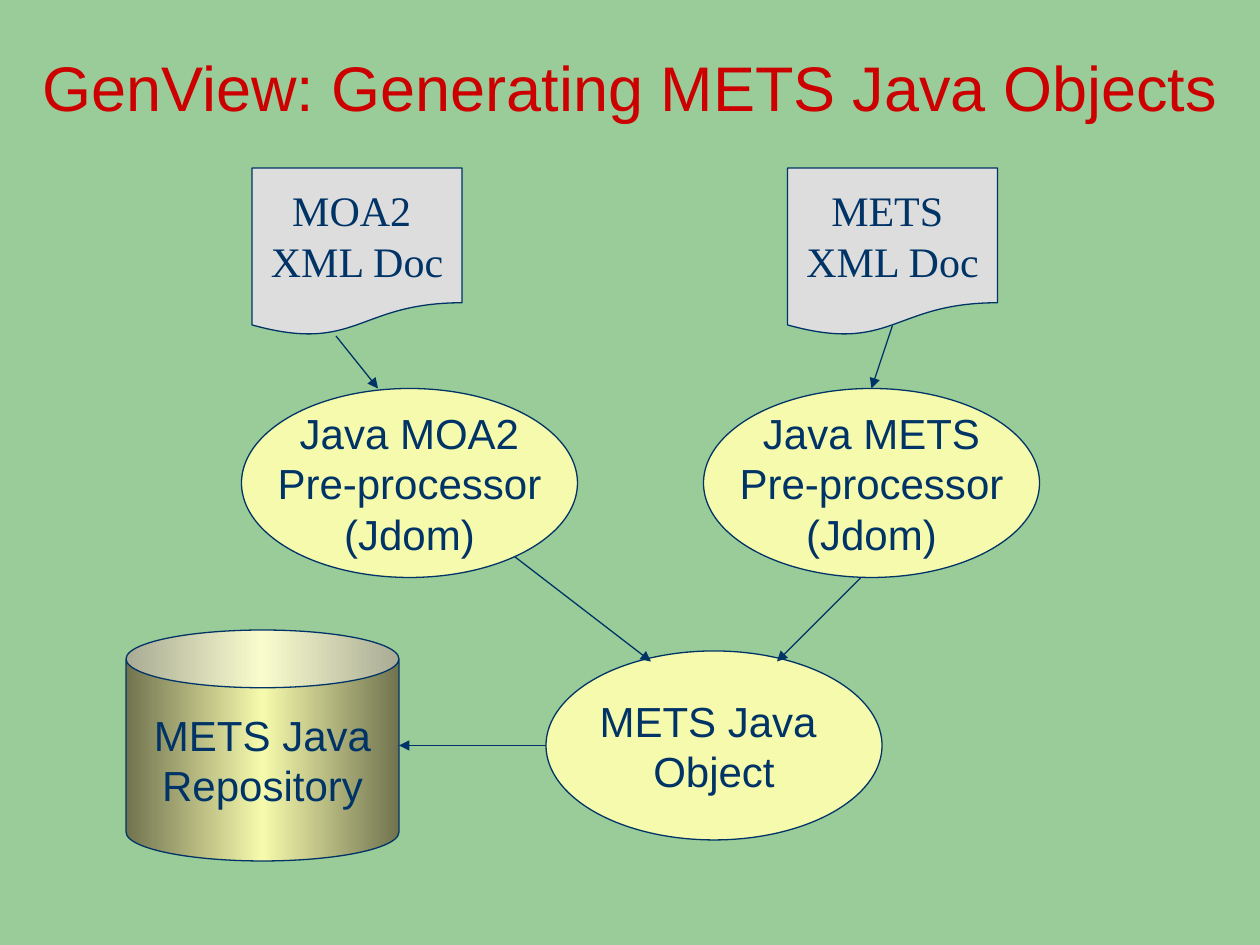
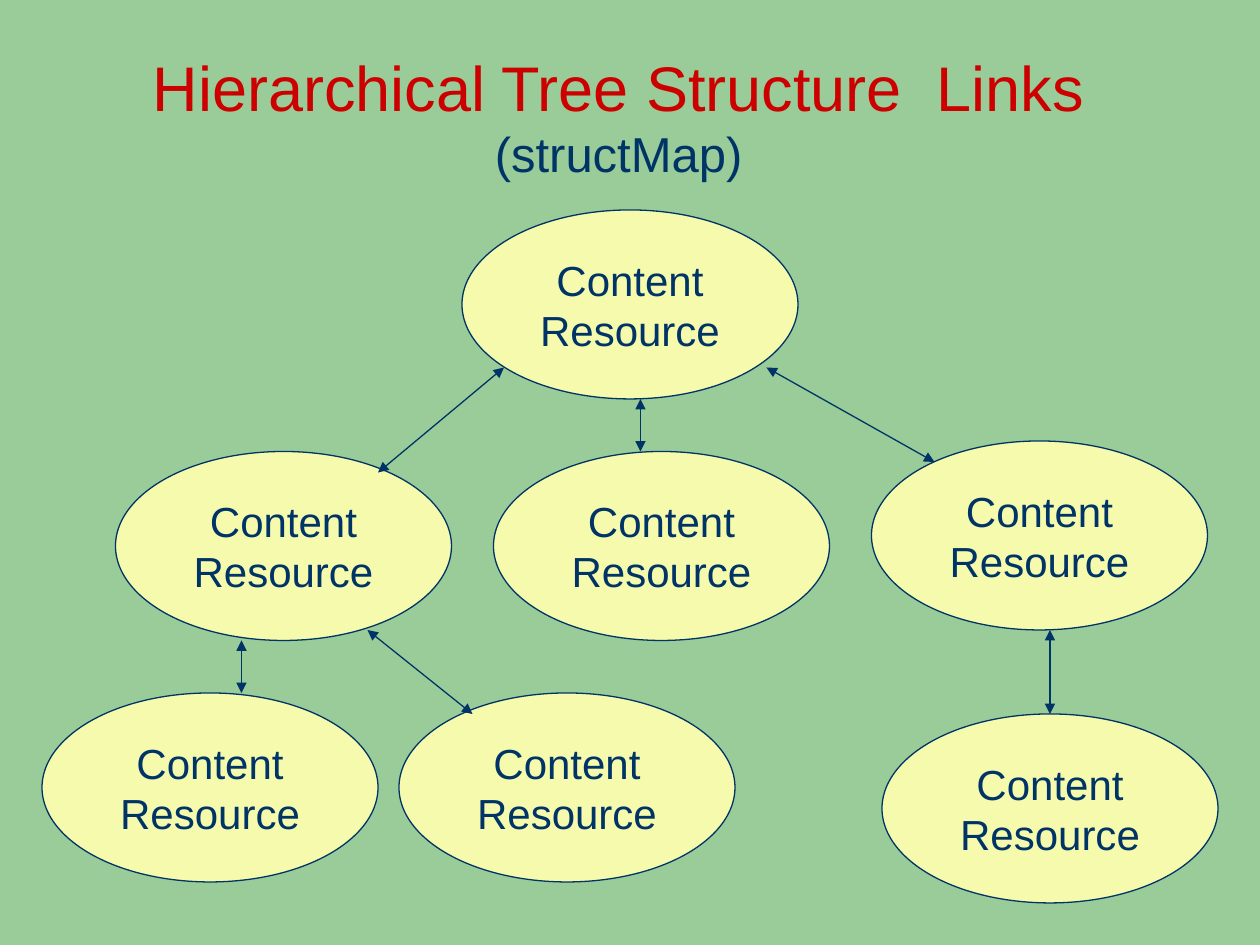
from lxml.etree import SubElement
from pptx import Presentation
from pptx.dml.color import RGBColor
from pptx.enum.shapes import MSO_CONNECTOR, MSO_SHAPE
from pptx.enum.text import MSO_ANCHOR, MSO_AUTO_SIZE, PP_ALIGN
from pptx.oxml.ns import qn
from pptx.util import Pt

GREEN = RGBColor(0x99, 0xCC, 0x99)
RED = RGBColor(0xCC, 0x00, 0x00)
NAVY = RGBColor(0x00, 0x33, 0x66)
YELLOW = RGBColor(0xF6, 0xFA, 0xAC)
OLIVE = RGBColor(0x71, 0x73, 0x4F)
GREY = RGBColor(0xDD, 0xDD, 0xDD)

TITLE_TOP = 24
ELLIPSE_SIZE = (192, 108)
DOCUMENT_SIZE = (120, 96)
REPOSITORY_SIZE = (156, 132)


def format_paragraph(paragraph, size, color, font_name="Arial"):
    paragraph.alignment = PP_ALIGN.CENTER
    for run in paragraph.runs:
        run.font.name = font_name
        run.font.size = Pt(size)
        run.font.color.rgb = color


def add_titled_slide(presentation, left, width, height, title, subtitle=None):
    slide = presentation.slides.add_slide(presentation.slide_layouts[5])
    shape = slide.shapes.title
    shape.left, shape.top = Pt(left), Pt(TITLE_TOP)
    shape.width, shape.height = Pt(width), Pt(height)
    text_frame = shape.text_frame
    text_frame.word_wrap = False
    text_frame.auto_size = MSO_AUTO_SIZE.NONE
    text_frame.vertical_anchor = MSO_ANCHOR.TOP
    text_frame.text = title
    format_paragraph(text_frame.paragraphs[0], 36, RED)
    if subtitle:
        paragraph = text_frame.add_paragraph()
        paragraph.text = subtitle
        format_paragraph(paragraph, 28, NAVY)
    return slide


def add_node(slide, kind, position, size, text, color, font_name="Arial"):
    lengths = [Pt(length) for length in (*position, *size)]
    shape = slide.shapes.add_shape(kind, *lengths)
    shape.shadow.inherit = False
    shape.fill.solid()
    shape.fill.fore_color.rgb = color
    shape.line.color.rgb = NAVY
    shape.line.width = Pt(0.75)
    text_frame = shape.text_frame
    text_frame.word_wrap = False
    text_frame.vertical_anchor = MSO_ANCHOR.MIDDLE
    text_frame.text = text
    for paragraph in text_frame.paragraphs:
        format_paragraph(paragraph, 24, NAVY, font_name)
    return shape


def add_ellipse(slide, position, text):
    add_node(slide, MSO_SHAPE.OVAL, position, ELLIPSE_SIZE, text, YELLOW)


def add_document(slide, position, text):
    add_node(slide, MSO_SHAPE.FLOWCHART_DOCUMENT, position, DOCUMENT_SIZE, text, GREY, "Times New Roman")


def add_repository(slide, position, text):
    shape = add_node(slide, MSO_SHAPE.CAN, position, REPOSITORY_SIZE, text, YELLOW)
    shape.fill.gradient()
    shape.fill.gradient_angle = 0
    stops = shape._element.spPr.find(qn("a:gradFill")).find(qn("a:gsLst"))
    for stop in list(stops):
        stops.remove(stop)
    for percent, color in ((0, OLIVE), (50, YELLOW), (100, OLIVE)):
        stop = SubElement(stops, qn("a:gs"), pos=str(percent * 1000))
        SubElement(stop, qn("a:srgbClr"), val=str(color))


def add_arrow(slide, start, end, both_ends=False):
    points = [Pt(length) for length in (*start, *end)]
    connector = slide.shapes.add_connector(MSO_CONNECTOR.STRAIGHT, *points)
    connector.line.color.rgb = NAVY
    connector.line.width = Pt(0.75)
    line = connector.line._get_or_add_ln()
    if both_ends:
        SubElement(line, qn("a:headEnd"), type="triangle")
    SubElement(line, qn("a:tailEnd"), type="triangle")
    SubElement(connector._element.spPr, qn("a:effectLst"))


def build_generation_slide(presentation):
    slide = add_titled_slide(presentation, 0, 720, 50, "GenView: Generating METS Java Objects")
    add_repository(slide, (72, 360), "METS Java\nRepository")
    for name, document_left, ellipse_left in (("MOA2", 144, 138), ("METS", 450, 402)):
        add_ellipse(slide, (ellipse_left, 222), f"Java {name}\nPre-processor\n(Jdom)")
        add_document(slide, (document_left, 96), f"{name} \nXML Doc")
    add_ellipse(slide, (312, 372), "METS Java \nObject")
    for start, end in (
        ((192, 192), (216, 222)),
        ((510, 186), (498, 222)),
        ((294, 318), (372, 378)),
        ((492, 330), (444, 378)),
        ((312, 426), (228, 426)),
    ):
        add_arrow(slide, start, end)


def build_tree_slide(presentation):
    slide = add_titled_slide(presentation, 79, 549, 84, "Hierarchical Tree Structure  Links", "(structMap)")
    for position in (
        (264, 120),
        (66, 258), (282, 258), (498, 252),
        (24, 396), (228, 396), (504, 408),
    ):
        add_ellipse(slide, position, "Content\nResource")
    for start, end in (
        ((288, 210), (216, 270)),
        ((366, 228), (366, 258)),
        ((438, 210), (534, 264)),
        ((138, 366), (138, 396)),
        ((210, 360), (270, 408)),
        ((600, 360), (600, 408)),
    ):
        add_arrow(slide, start, end, both_ends=True)


def main():
    presentation = Presentation()
    presentation.slide_width, presentation.slide_height = Pt(720), Pt(540)
    background = presentation.slide_master.background.fill
    background.solid()
    background.fore_color.rgb = GREEN
    build_generation_slide(presentation)
    build_tree_slide(presentation)
    presentation.save("out.pptx")


if __name__ == "__main__":
    main()
